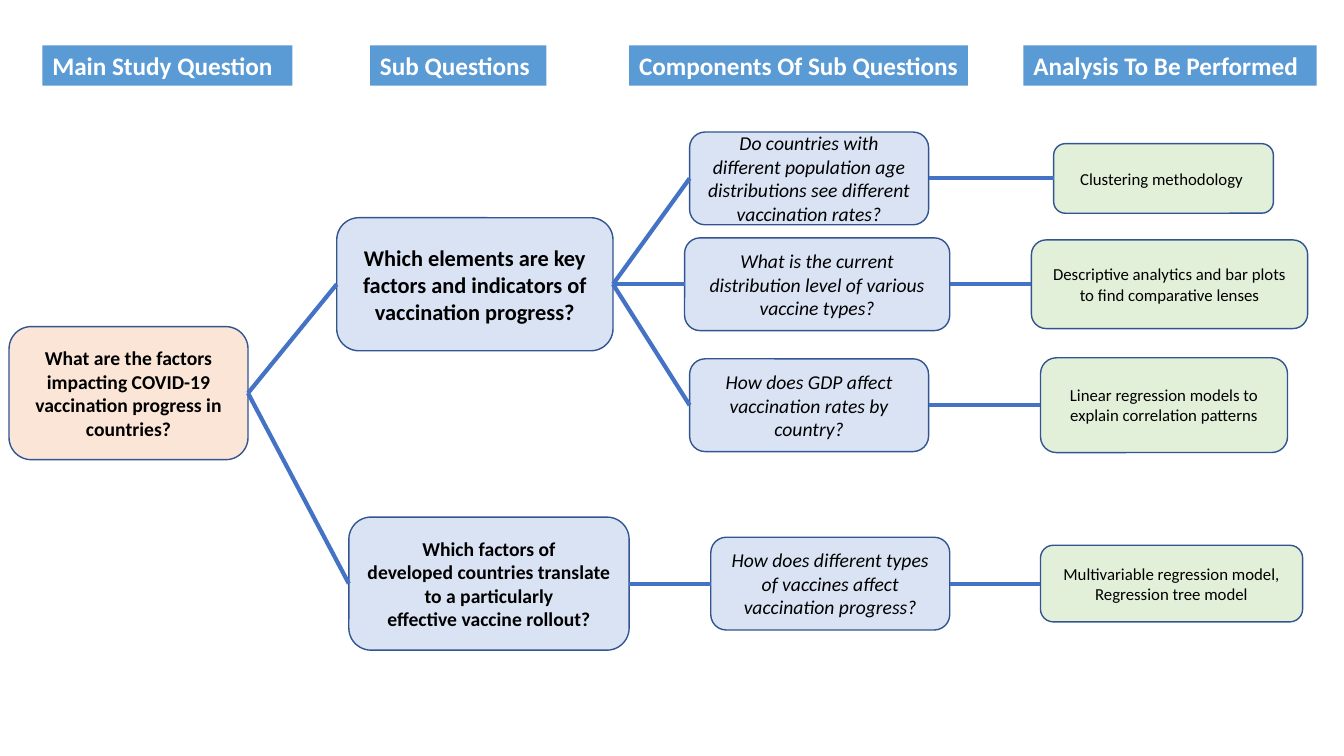
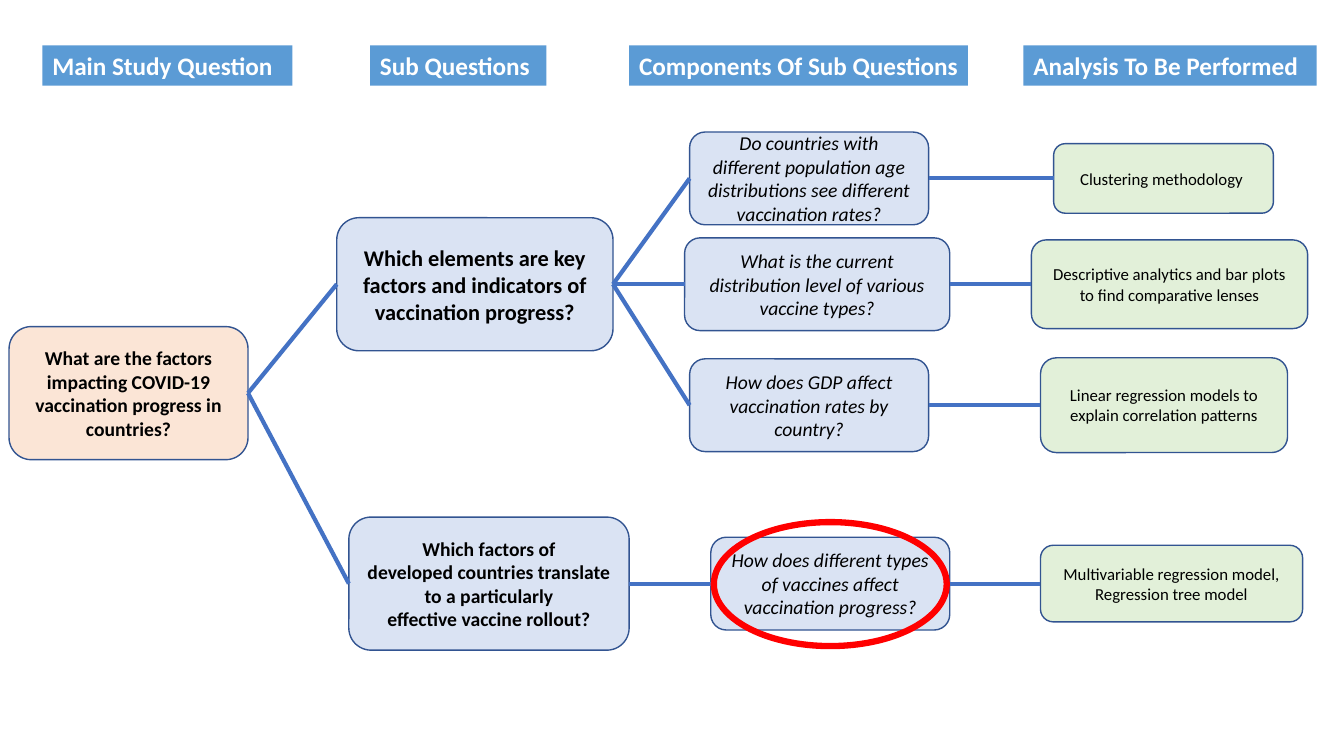
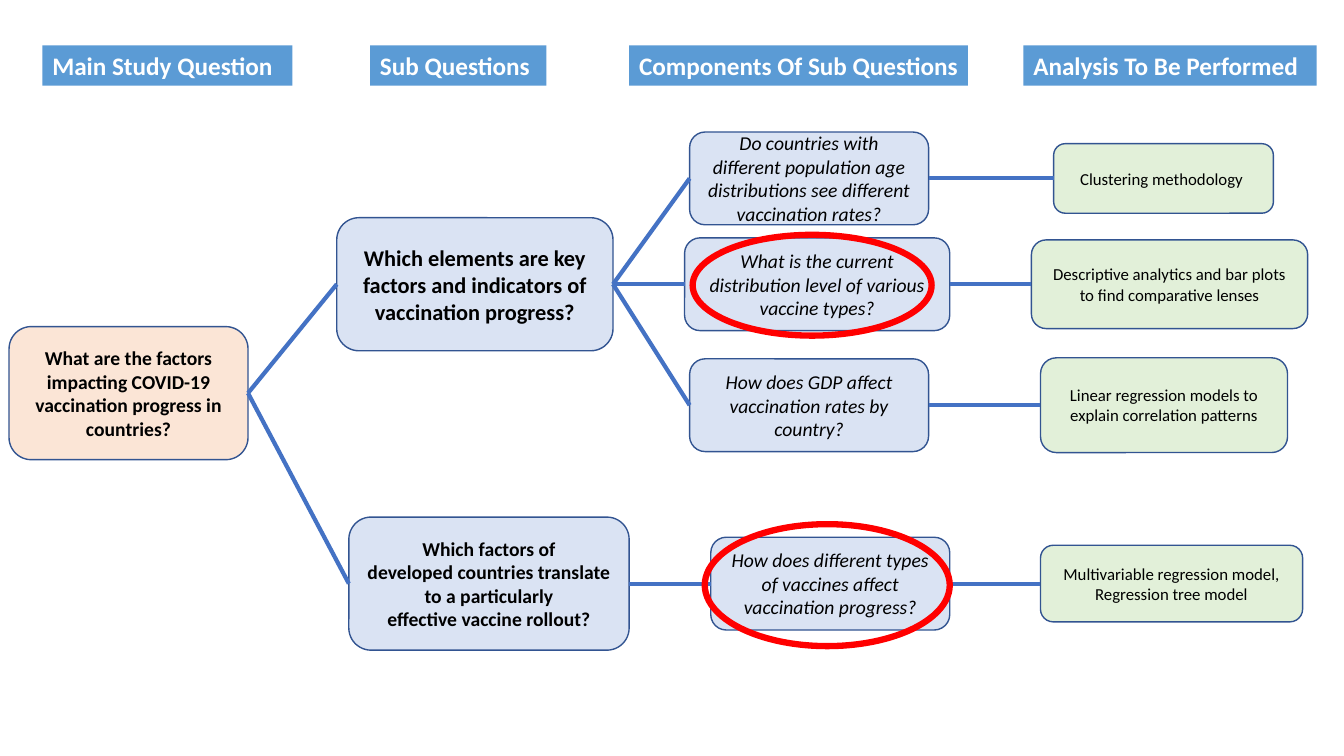
from dataclasses import dataclass

from lxml.etree import SubElement
from pptx import Presentation
from pptx.dml.color import RGBColor
from pptx.enum.shapes import MSO_CONNECTOR, MSO_SHAPE
from pptx.enum.text import MSO_ANCHOR, MSO_AUTO_SIZE, PP_ALIGN
from pptx.oxml.ns import qn
from pptx.util import Inches, Pt

FONT = "Calibri"
COLORS = {
    "header": "5B9BD5",
    "main": "FBE5D6",
    "question": "DAE3F3",
    "analysis": "E2F0D9",
    "outline": "325491",
    "link": "4472C4",
    "highlight": "FF0000",
    "text": "000000",
    "header_text": "FFFFFF",
}
RIGHT_SIDE, LEFT_SIDE = 3, 1
NO_BREAK_SPACE = chr(160)  # typed as ~ in the node texts

# Vertical centre of each row of the tree
ROWS = {"age": 1.77, "types": 2.82, "main": 3.9, "gdp": 4.02, "rollout": 5.79}

HEADER_TOP, HEADER_HEIGHT = 0.45, 0.4
HEADERS = [  # text, left, width
    ("Main Study Question", 0.42, 2.48),
    ("Sub Questions", 3.67, 1.75),
    ("Components Of Sub Questions", 6.24, 3.36),
    ("Analysis To Be Performed", 10.15, 2.91),
]


@dataclass
class Level:
    fill: str
    size: int
    bold: bool = False
    italic: bool = False


MAIN = Level("main", 14, bold=True)
KEY_SUB = Level("question", 16, bold=True)
SUB = Level("question", 14, bold=True)
COMPONENT = Level("question", 14, italic=True)
ANALYSIS = Level("analysis", 12)

# name: level, row, left, width, height, text
NODES = {
    "main": (MAIN, "main", 0.09, 2.37, 1.32,
             "What are the factors impacting COVID-19 vaccination progress in countries?"),
    "elements": (KEY_SUB, "types", 3.34, 2.74, 1.32,
                 "Which elements are key factors and indicators of vaccination progress?"),
    "rollout": (SUB, "rollout", 3.46, 2.78, 1.32,
                "Which factors~of developed~countries translate to a~particularly "
                "effective~vaccine~rollout?"),
    "age": (COMPONENT, "age", 6.84, 2.37, 0.92,
            "Do countries with different population age distributions see different "
            "vaccination rates?"),
    "types": (COMPONENT, "types", 6.79, 2.63, 0.92,
              "What is the current distribution level of various vaccine types?"),
    "gdp": (COMPONENT, "gdp", 6.84, 2.37, 0.92,
            "How does GDP affect vaccination rates by country?"),
    "effect": (COMPONENT, "rollout", 7.05, 2.37, 0.92,
               "How does different types of vaccines affect vaccination progress?"),
    "clustering": (ANALYSIS, "age", 10.45, 2.18, 0.69, "Clustering methodology~"),
    "descriptive": (ANALYSIS, "types", 10.23, 2.74, 0.88,
                    "Descriptive analytics and bar plots to find comparative lenses"),
    "linear": (ANALYSIS, "gdp", 10.32, 2.45, 0.94,
               "Linear regression models~to explain correlation patterns"),
    "multivariable": (ANALYSIS, "rollout", 10.32, 2.6, 0.76,
                      "Multivariable regression model,\nRegression tree model"),
}
LINKS = {
    "main": ["elements", "rollout"],
    "elements": ["age", "types", "gdp"],
    "rollout": ["effect"],
    "age": ["clustering"],
    "types": ["descriptive"],
    "gdp": ["linear"],
    "effect": ["multivariable"],
}

# Ellipses drawn on each slide: left, top, width, height
HIGHLIGHTS = [
    [],
    [(7.08, 5.18, 2.31, 1.23)],
    [(6.87, 2.33, 2.37, 1.0), (6.99, 5.2, 2.43, 1.21)],
]


def color(name):
    return RGBColor.from_string(COLORS[name])


def inches(*lengths):
    return [Inches(length) for length in lengths]


def set_line(shape, name, width):
    shape.line.color.rgb = color(name)
    shape.line.width = Pt(width)


def write(paragraph, text, size, color_name, bold=False, italic=False):
    run = paragraph.add_run()
    run.text = text
    font = run.font
    font.name, font.size = FONT, Pt(size)
    font.bold, font.italic = bold, italic
    font.color.rgb = color(color_name)


def add_header(slide, text, left, width):
    box = slide.shapes.add_textbox(*inches(left, HEADER_TOP, width, HEADER_HEIGHT))
    box.fill.solid()
    box.fill.fore_color.rgb = color("header")
    frame = box.text_frame
    frame.word_wrap = True
    frame.auto_size = MSO_AUTO_SIZE.SHAPE_TO_FIT_TEXT
    frame.margin_right = 0
    write(frame.paragraphs[0], text, 18, "header_text", bold=True)


def add_node(slide, level, row, left, width, height, text):
    top = ROWS[row] - height / 2
    shape = slide.shapes.add_shape(
        MSO_SHAPE.ROUNDED_RECTANGLE, *inches(left, top, width, height))
    shape.shadow.inherit = False
    shape.fill.solid()
    shape.fill.fore_color.rgb = color(level.fill)
    set_line(shape, "outline", 1)
    frame = shape.text_frame
    frame.word_wrap = True
    frame.vertical_anchor = MSO_ANCHOR.MIDDLE
    for index, line in enumerate(text.replace("~", NO_BREAK_SPACE).split("\n")):
        paragraph = frame.add_paragraph() if index else frame.paragraphs[0]
        paragraph.alignment = PP_ALIGN.CENTER
        write(paragraph, line, level.size, "text", level.bold, level.italic)
    return shape


def add_link(slide, source, target):
    connector = slide.shapes.add_connector(MSO_CONNECTOR.STRAIGHT, 0, 0, 0, 0)
    connector.begin_connect(source, RIGHT_SIDE)
    connector.end_connect(target, LEFT_SIDE)
    set_line(connector, "link", 3)
    SubElement(connector._element.spPr, qn("a:effectLst"))


def add_highlight(slide, *box):
    ellipse = slide.shapes.add_shape(MSO_SHAPE.OVAL, *inches(*box))
    ellipse.shadow.inherit = False
    ellipse.fill.background()
    set_line(ellipse, "highlight", 4.5)


def add_question_tree(slide):
    for header in HEADERS:
        add_header(slide, *header)
    shapes = {name: add_node(slide, *node) for name, node in NODES.items()}
    for source, targets in LINKS.items():
        for target in targets:
            add_link(slide, shapes[source], shapes[target])


def main():
    presentation = Presentation()
    presentation.slide_width, presentation.slide_height = inches(13.33, 7.5)
    blank_layout = presentation.slide_layouts[6]
    for highlights in HIGHLIGHTS:
        slide = presentation.slides.add_slide(blank_layout)
        add_question_tree(slide)
        for box in highlights:
            add_highlight(slide, *box)
    presentation.save("out.pptx")


if __name__ == "__main__":
    main()
